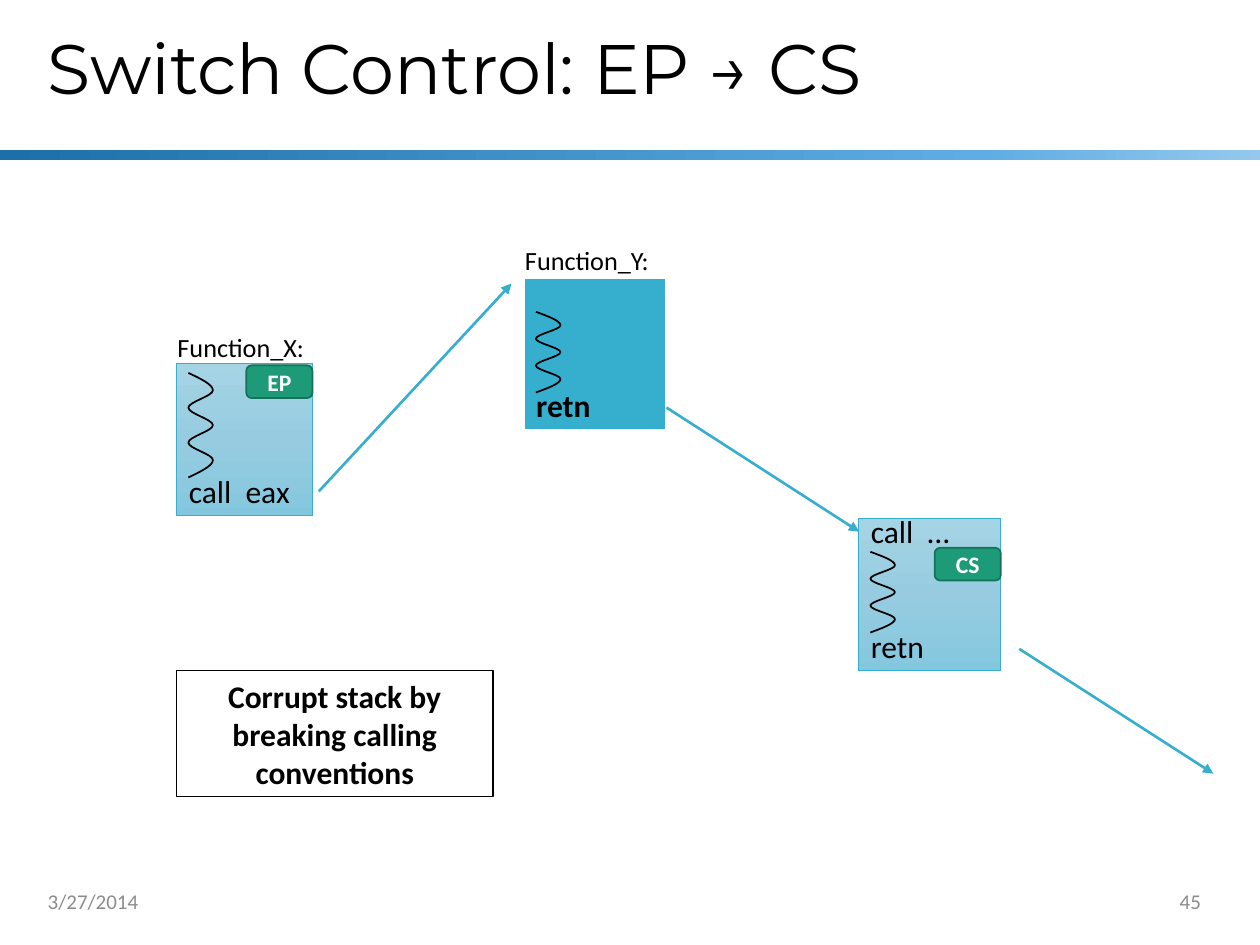
"""Build the slide that shows control passing from EP to CS."""
from copy import deepcopy

from pptx import Presentation
from pptx.dml.color import RGBColor
from pptx.enum import shapes as kinds, text
from pptx.oxml.ns import qn
from pptx.util import Pt

HUES = {"ink": "000000", "paper": "FFFFFF", "grey": "8C8C8C", "cyan": "36AFCE",
        "green": "1D9A78", "pine": "157259"}
SKY = [(0, "A5D4E5"), (0.5, "97CCE0"), (1, "83C7DF")]
BAND = [(0, "1D6FA9"), (0.78, "5FADE4"), (1, "94C8ED")]
RECT, ROUND = kinds.MSO_SHAPE.RECTANGLE, kinds.MSO_SHAPE.ROUNDED_RECTANGLE
LEFT, MID, RIGHT = text.PP_ALIGN.LEFT, text.PP_ALIGN.CENTER, text.PP_ALIGN.RIGHT
TOP, CORE, LOW = text.MSO_ANCHOR.TOP, text.MSO_ANCHOR.MIDDLE, text.MSO_ANCHOR.BOTTOM

deck = Presentation()
deck.slide_width, deck.slide_height = Pt(720), Pt(540)
COL, ROW = deck.slide_width / 100, deck.slide_height / 75
slide = deck.slides.add_slide(deck.slide_layouts[5])


def add(home, kind, box, fill=None, line=None, width=1, angle=270):
    """Add a shape, or a text box when kind is None, at grid place box."""
    place = [int(n * unit) for n, unit in zip(box, (COL, ROW, COL, ROW))]
    if kind is None:
        return home.add_textbox(*place)
    shape = home.add_shape(kind, *place)
    shape.shadow.inherit = False
    if isinstance(fill, list):
        shape.fill.gradient()
        shape.fill.gradient_angle = angle
        stops = shape._element.spPr.find(qn("a:gradFill")).find(qn("a:gsLst"))
        stops.append(deepcopy(stops[0]))
        for stop, (spot, hue) in zip(shape.fill.gradient_stops, fill):
            stop.position = spot
            stop.color.rgb = RGBColor.from_string(hue)
    else:
        shape.fill.solid()
        shape.fill.fore_color.rgb = RGBColor.from_string(HUES[fill])
    if line:
        shape.line.color.rgb = RGBColor.from_string(HUES[line])
        shape.line.width = Pt(width)
    else:
        shape.line.fill.background()
    return shape


def write(shape, lines, size, hue="ink", bold=False, align=LEFT, anchor=CORE,
          font="Calibri", wrap=True, gap=0):
    """Write lines as paragraphs, with gap points between them."""
    frame = shape.text_frame
    frame.word_wrap, frame.vertical_anchor = wrap, anchor
    for i, words in enumerate(lines):
        para = frame.add_paragraph() if i else frame.paragraphs[0]
        para.alignment = align
        if i:
            para.space_before = Pt(gap)
        run = para.add_run()
        run.text = words
        run.font.name, run.font.size, run.font.bold = font, Pt(size), bold
        run.font.color.rgb = RGBColor.from_string(HUES[hue])


add(slide.shapes, RECT, (0, 11.93, 100, 0.8), BAND, angle=0)

title = slide.shapes.title
title.left, title.top = int(2.8 * COL), int(0.05 * ROW)
title.width, title.height = int(93.5 * COL), int(11.3 * ROW)
write(title, ["Switch Control: EP → CS"], 40, font="Montserrat")
title.text_frame.paragraphs[0].line_spacing = 0.9

for x, words, align in [(2.8, "3/27/2014", LEFT), (73.8, "45", RIGHT)]:
    foot = add(slide.shapes, None, (x, 69.5, 22.5, 4))
    write(foot, [words], 12, "grey", align=align)

# box, fill, line, line width, code, bold, curl drop and height, label, label top, badge, badge drop
blocks = [
    ((14, 28.85, 10.8, 12.1), SKY, "cyan", 0.5, ["call  eax"], False,
     0.75, 8.3, "Function_X:", 25.83, "EP", 0.15),
    ((68.13, 41.13, 11.3, 12.1), SKY, "cyan", 0.5, ["call  …", "retn"], False,
     2.67, 6.4, None, 0, "CS", 2.35),
    ((41.58, 22.05, 11.3, 12.1), "cyan", "paper", 1.5, ["retn"], True,
     2.7, 6.4, "Function_Y:", 18.87, None, 0),
]
TURNS, SWAY = 6, int(1.95 * COL)
for box, fill, line, width, code, bold, drop, tall, label, top, badge, sink in blocks:
    x, y, wide, high = box
    home = slide.shapes.add_group_shape().shapes
    write(add(home, RECT, box, fill, line, width), code, 18, bold=bold,
          anchor=LOW, gap=44)

    left, head, step = int((x + 0.95) * COL), int((y + drop) * ROW), int(tall * ROW / TURNS)
    pen = home.build_freeform(left, head)
    pen.add_line_segments([(left + SWAY * (i % 2), head + step * i)
                           for i in range(1, TURNS + 1)], close=False)
    curl = pen.convert_to_shape()
    curl.shadow.inherit = False
    curl.fill.background()
    curl.line.color.rgb = RGBColor.from_string(HUES["ink"])
    curl.line.width = Pt(1)
    for i, leg in enumerate(list(curl._element.iter(qn("a:lnTo")))):
        bend = leg.makeelement(qn("a:cubicBezTo"), {})
        start, end = SWAY * (i % 2), SWAY * ((i + 1) % 2)
        pulls = [SWAY // 2 if i == 0 else start, SWAY // 2 if i == TURNS - 1 else end, end]
        for third, across in enumerate(pulls, 1):
            down = step * i + step * third // 3
            bend.append(leg.makeelement(qn("a:pt"), {"x": str(across), "y": str(down)}))
        leg.getparent().replace(leg, bend)

    if label:
        write(add(home, None, (x - 0.9, top, 12.1, 3.5)), [label], 15,
              anchor=TOP, wrap=False)
    if badge:
        tag = add(home, ROUND, (x + wide - 5.25, y + sink, 5.25, 2.6), "green", "pine")
        write(tag, [badge], 13.5, "paper", True, MID)

for ends in [(25.3, 39, 40.6, 22.5), (52.9, 32.35, 68.2, 42.2), (80.9, 51.5, 96.3, 61.4)]:
    spots = [int(n * unit) for n, unit in zip(ends, (COL, ROW, COL, ROW))]
    arrow = slide.shapes.add_connector(kinds.MSO_CONNECTOR.STRAIGHT, *spots)
    arrow.line.color.rgb = RGBColor.from_string(HUES["cyan"])
    arrow.line.width = Pt(1.5)
    props = arrow._element.spPr
    tip = props.find(qn("a:ln")).makeelement(qn("a:tailEnd"), {"type": "triangle"})
    props.find(qn("a:ln")).append(tip)
    props.append(props.makeelement(qn("a:effectLst"), {}))

note = add(slide.shapes, RECT, (14, 53.23, 25.13, 10), "paper", "ink")
write(note, ["Corrupt stack by breaking calling conventions"], 18, bold=True, align=MID)

deck.save("out.pptx")
